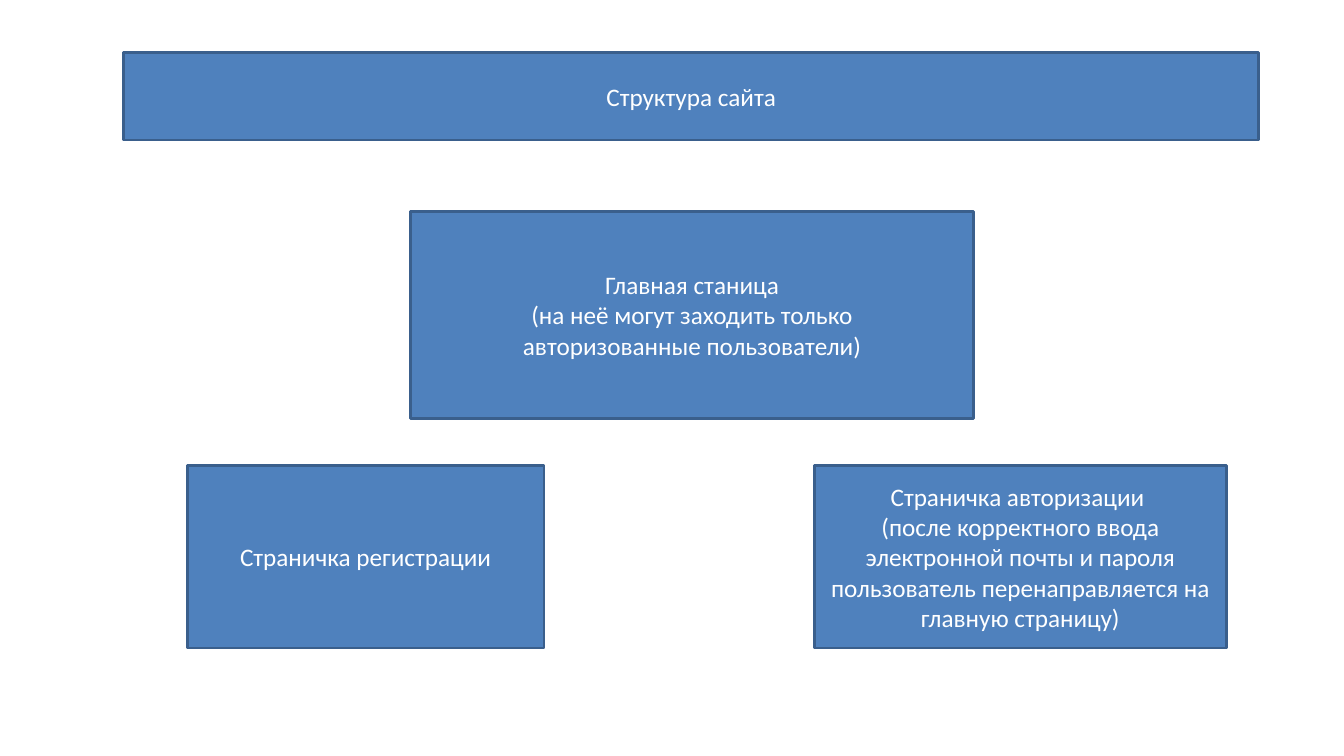
from pptx import Presentation
from pptx.dml.color import RGBColor
from pptx.enum.shapes import MSO_SHAPE
from pptx.enum.text import MSO_ANCHOR, PP_ALIGN
from pptx.util import Cm, Pt

RECT = MSO_SHAPE.RECTANGLE
MIDDLE = MSO_ANCHOR.MIDDLE
CENTER = PP_ALIGN.CENTER

BLUE = RGBColor(0x4F, 0x81, 0xBD)
DARK_BLUE = RGBColor(0x3A, 0x5F, 0x8C)
WHITE = RGBColor(0xFF, 0xFF, 0xFF)


class SiteMap:
    """Style of the site map and the slide it is drawn on."""

    font = "Calibri"
    size = Pt(18)
    line_width = Pt(2)

    def __init__(self, slide):
        self.slide = slide

    def box(self, left, top, width, height, lines):
        sp = self.slide.shapes.add_shape(
            RECT, Cm(left), Cm(top), Cm(width), Cm(height))
        sp.shadow.inherit = False
        sp.fill.solid()
        sp.fill.fore_color.rgb = BLUE
        sp.line.color.rgb = DARK_BLUE
        sp.line.width = self.line_width
        self.text(sp.text_frame, lines)

    def text(self, tf, lines):
        tf.word_wrap = True
        tf.vertical_anchor = MIDDLE
        for i, line in enumerate(lines):
            p = tf.add_paragraph() if i else tf.paragraphs[0]
            p.alignment = CENTER
            r = p.add_run()
            r.text = line
            r.font.name = self.font
            r.font.size = self.size
            r.font.color.rgb = WHITE


def main():
    prs = Presentation()
    prs.slide_width, prs.slide_height = Cm(33.87), Cm(19.05)
    site = SiteMap(prs.slides.add_slide(prs.slide_layouts[6]))

    # Title bar
    site.box(3.12, 1.32, 28.6, 2.21, ["Структура сайта"])

    # Main page
    site.box(10.34, 5.33, 14.2, 5.21, [
        "Главная станица",
        " (на неё могут заходить только ",
        "авторизованные пользователи)",
    ])

    # Registration and login pages share one row
    row_top, row_height = 11.73, 4.6
    site.box(4.72, row_top, 8.99, row_height, ["Страничка регистрации"])
    site.box(20.52, row_top, 10.39, row_height, [
        "Страничка авторизации ",
        "(после корректного ввода электронной почты и пароля "
        "пользователь перенаправляется на главную страницу)",
    ])

    prs.save("out.pptx")


if __name__ == "__main__":
    main()
